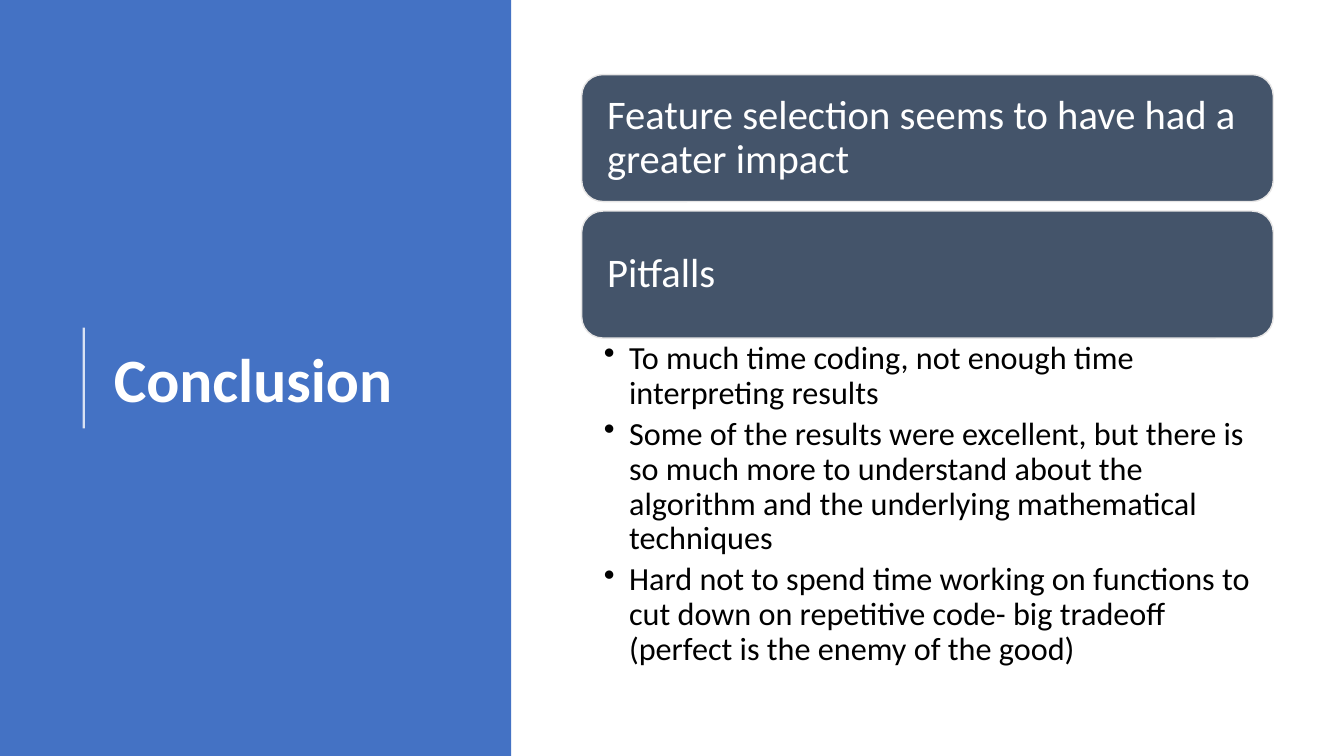
from dataclasses import dataclass

from lxml import etree
from pptx import Presentation
from pptx import util as u
from pptx.dml.color import RGBColor
from pptx.enum import shapes, text
from pptx.oxml import ns

WHITE = RGBColor(0xFF, 0xFF, 0xFF)
BLACK = RGBColor(0, 0, 0)
BLUE = RGBColor(0x44, 0x72, 0xC4)
SLATE = RGBColor(0x44, 0x54, 0x6A)
PALE = RGBColor(0xE7, 0xE6, 0xE6)
FONT = "Calibri"
WIDE, HIGH = u.Inches(13.33), u.Inches(7.5)


@dataclass
class Box:
    """A frame in percent of the slide's width and height."""
    left: float
    top: float
    width: float
    height: float

    def frame(self) -> tuple[int, int, int, int]:
        return (across(self.left), down(self.top),
                across(self.width), down(self.height))


@dataclass
class Style:
    size: float
    color: RGBColor
    pad: tuple[float, float]
    bold: bool = False
    after: float = 0
    anchor: text.MSO_ANCHOR = text.MSO_ANCHOR.MIDDLE


HEAD = Style(44, WHITE, (0.1, 0.05), bold=True)
LABEL = Style(29, WHITE, (0.19, 0.18))
ITEM = Style(23, BLACK, (0.22, 0.04), after=4.6, anchor=text.MSO_ANCHOR.TOP)

BARS = ["Feature selection seems to have had a greater impact", "Pitfalls"]
BAR = Box(43.28, 9.87, 51.46, 16.8)
STEP = 18.05
ITEMS = [
    "To much time coding, not enough time interpreting results",
    "Some of the results were excellent, but there is so much more to "
    "understand about the algorithm and the underlying mathematical techniques",
    "Hard not to spend time working on functions to cut down on repetitive "
    "code- big tradeoff (perfect is the enemy of the good)",
]


def across(share: float) -> int:
    return round(WIDE * share / 100)


def down(share: float) -> int:
    return round(HIGH * share / 100)


def write(shape, lines: list[str], style: Style) -> None:
    body = shape.text_frame
    body.word_wrap = True
    body.vertical_anchor = style.anchor
    body.margin_left = body.margin_right = u.Inches(style.pad[0])
    body.margin_top = body.margin_bottom = u.Inches(style.pad[1])
    body.text = "\n".join(lines)
    for para in body.paragraphs:
        para.alignment = text.PP_ALIGN.LEFT
        para.line_spacing = 0.9
        para.space_after = u.Pt(style.after)
        font = para.font
        font.name, font.size, font.bold = FONT, u.Pt(style.size), style.bold
        font.color.rgb = style.color


def block(slide, kind: shapes.MSO_SHAPE, box: Box, fill: RGBColor):
    shape = slide.shapes.add_shape(kind, *box.frame())
    shape.shadow.inherit = False
    shape.fill.solid()
    shape.fill.fore_color.rgb = fill
    shape.line.fill.background()
    return shape


def label(slide, box: Box, lines: list[str], style: Style):
    shape = slide.shapes.add_textbox(*box.frame())
    write(shape, lines, style)
    return shape


def bullet(para) -> None:
    props = para._p.get_or_add_pPr()
    props.set("marL", str(u.Inches(0.25)))
    props.set("indent", str(u.Inches(-0.25)))
    mark = etree.Element(ns.qn("a:buChar"), char="•")
    props.find(ns.qn("a:defRPr")).addprevious(mark)


def rule(slide, left: float, top: float, end: float) -> None:
    line = slide.shapes.add_connector(
        shapes.MSO_CONNECTOR.STRAIGHT,
        across(left), down(top), across(left), down(end))
    line.line.width = u.Pt(1.5)
    line.line.color.rgb = WHITE
    props = line._element.spPr
    tone = props.find(".//" + ns.qn("a:srgbClr"))
    etree.SubElement(tone, ns.qn("a:alpha"), val="80000")
    etree.SubElement(props, ns.qn("a:effectLst"))


def main() -> None:
    deck = Presentation()
    deck.slide_width, deck.slide_height = WIDE, HIGH
    slide = deck.slides.add_slide(deck.slide_layouts[6])

    # Title panel
    block(slide, shapes.MSO_SHAPE.RECTANGLE, Box(0, 0, 38.03, 100), BLUE)
    rule(slide, 6.23, 56.67, 43.33)
    label(slide, Box(7.73, 10.4, 27.68, 80.27), ["Conclusion"], HEAD)

    # Rounded bars
    for row, words in enumerate(BARS):
        place = Box(BAR.left, BAR.top + row * STEP, BAR.width, BAR.height)
        bar = block(slide, shapes.MSO_SHAPE.ROUNDED_RECTANGLE, place, SLATE)
        bar.line.color.rgb = PALE
        bar.line.width = u.Pt(1)
        write(bar, [words], LABEL)

    # Pitfall list
    notes = label(slide, Box(BAR.left, 44.67, BAR.width, 45.47), ITEMS, ITEM)
    for para in notes.text_frame.paragraphs:
        bullet(para)

    deck.save("out.pptx")


if __name__ == "__main__":
    main()
